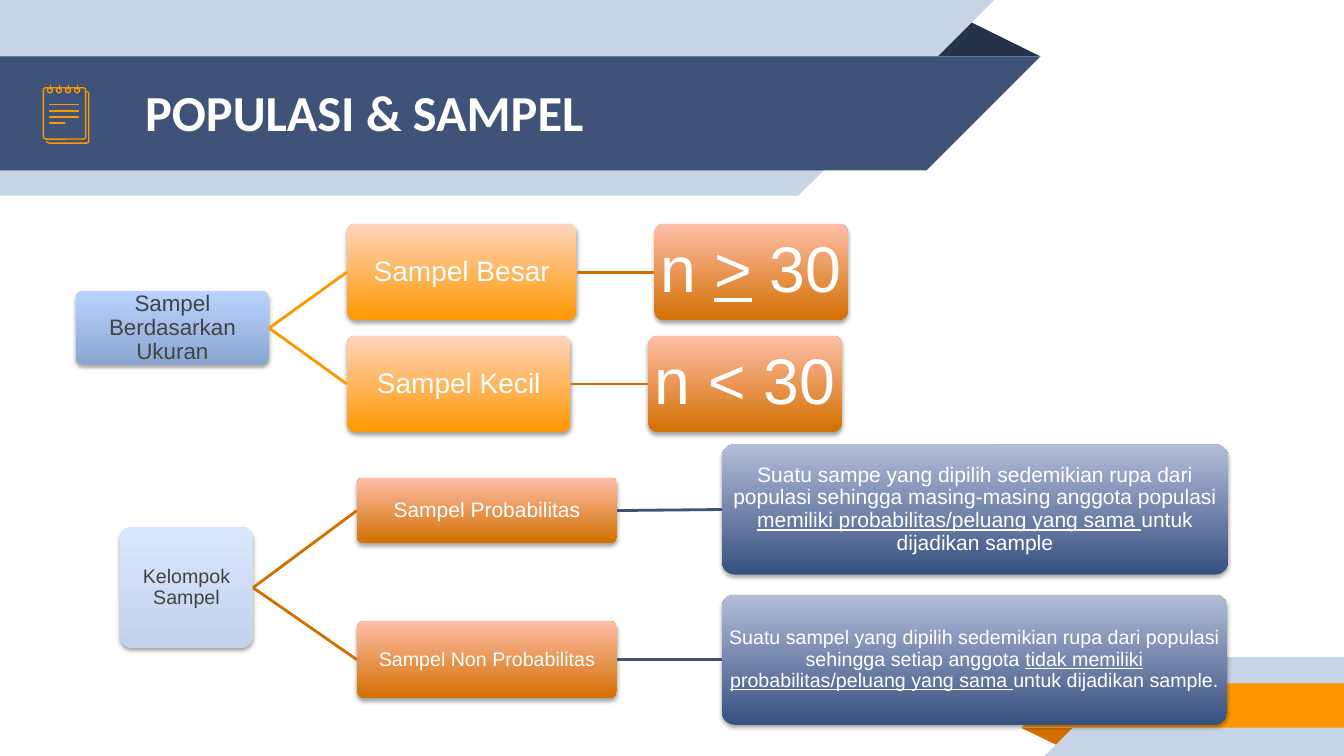
from dataclasses import dataclass

from lxml.etree import SubElement
from pptx import Presentation
from pptx.dml.color import RGBColor
from pptx.enum.shapes import MSO_CONNECTOR, MSO_SHAPE
from pptx.enum.text import MSO_ANCHOR, PP_ALIGN
from pptx.oxml.ns import qn
from pptx.shapes.autoshape import Shape
from pptx.shapes.connector import Connector
from pptx.slide import Slide
from pptx.util import Inches, Pt

WHITE = RGBColor(0xFF, 0xFF, 0xFF)
GRAY = RGBColor(0x43, 0x43, 0x43)
NAVY = RGBColor(0x3F, 0x53, 0x78)
DARK_NAVY = RGBColor(0x26, 0x32, 0x48)
PALE_BLUE = RGBColor(0xC7, 0xD3, 0xE6)
ORANGE = RGBColor(0xFF, 0x98, 0x00)
DARK_ORANGE = RGBColor(0xD2, 0x6F, 0x00)

# Gradients: bottom colour, top colour
Gradient = tuple[RGBColor, RGBColor]
BLUE_FADE = (RGBColor(0x8A, 0xA6, 0xD0), RGBColor(0xB9, 0xD3, 0xFE))
PALE_FADE = (RGBColor(0xC2, 0xD2, 0xEB), RGBColor(0xD9, 0xE7, 0xFF))
ORANGE_FADE = (ORANGE, RGBColor(0xFF, 0xD4, 0xBD))
RUST_FADE = (DARK_ORANGE, RGBColor(0xFF, 0xBE, 0xA8))
NAVY_FADE = (RGBColor(0x36, 0x50, 0x81), RGBColor(0xB3, 0xBD, 0xD8))

Point = tuple[float, float]


@dataclass(frozen=True)
class Polygon:
    color: RGBColor
    points: list[Point]


@dataclass(frozen=True)
class Node:
    name: str
    box: tuple[float, float, float, float]
    fade: Gradient
    size: int
    text: str  # underlined parts stand between | marks
    parent: str = ""
    link_color: RGBColor = ORANGE
    color: RGBColor = WHITE


BACKGROUND = [
    Polygon(DARK_NAVY, [(9.18, 0.56), (9.55, 0.18), (10.32, 0.56)]),
    Polygon(PALE_BLUE, [(0, 0), (9.86, 0), (7.92, 1.94), (0, 1.94)]),
    Polygon(NAVY, [(0, 0.56), (10.32, 0.56), (9.19, 1.69), (0, 1.69)]),
    Polygon(DARK_ORANGE, [(10.13, 7.22), (10.7, 7.22), (10.52, 7.41)]),
    Polygon(PALE_BLUE, [(11.34, 6.52), (13.33, 6.52), (13.33, 7.5), (10.36, 7.5)]),
    Polygon(ORANGE, [(10.57, 6.78), (13.33, 6.78), (13.33, 7.22), (10.13, 7.22)]),
]

NODES = [
    # Sample by size
    Node("size", (0.75, 2.89, 1.92, 0.73), BLUE_FADE, 16,
         "Sampel Berdasarkan Ukuran", color=GRAY),
    Node("large", (3.44, 2.22, 2.28, 0.96), ORANGE_FADE, 20, "Sampel Besar", "size"),
    Node("large n", (6.49, 2.22, 1.92, 0.96), RUST_FADE, 46, "n |>| 30",
         "large", DARK_ORANGE),
    Node("small", (3.44, 3.33, 2.22, 0.96), ORANGE_FADE, 20, "Sampel Kecil", "size"),
    Node("small n", (6.43, 3.33, 1.92, 0.96), RUST_FADE, 46, "n < 30",
         "small", DARK_ORANGE),
    # Sample groups
    Node("group", (1.19, 5.23, 1.32, 1.2), PALE_FADE, 14, "Kelompok Sampel", color=GRAY),
    Node("probability", (3.54, 4.74, 2.58, 0.65), RUST_FADE, 15,
         "Sampel Probabilitas", "group", DARK_ORANGE),
    Node("probability meaning", (7.16, 4.41, 5.02, 1.29), NAVY_FADE, 15,
         "Suatu sampe yang dipilih sedemikian rupa dari populasi sehingga "
         "masing-masing anggota populasi |memiliki probabilitas/peluang yang sama "
         "|untuk dijadikan sample", "probability", NAVY),
    Node("other", (3.54, 6.16, 2.58, 0.77), RUST_FADE, 14,
         "Sampel Non Probabilitas", "group", DARK_ORANGE),
    Node("other meaning", (7.16, 5.9, 5.01, 1.29), NAVY_FADE, 14,
         "Suatu sampel yang dipilih sedemikian rupa dari populasi sehingga setiap "
         "anggota |tidak memiliki probabilitas/peluang yang sama "
         "|untuk dijadikan sample.", "other", NAVY),
]


def write_text(shape: Shape, text: str, *, size: int, color: RGBColor, font: str = "Arial",
               bold: bool = False, align: PP_ALIGN = PP_ALIGN.CENTER,
               spacing: float = 0.9, inset: float = 0.01) -> None:
    frame = shape.text_frame
    frame.word_wrap = True
    frame.vertical_anchor = MSO_ANCHOR.MIDDLE
    frame.margin_left = frame.margin_right = Inches(inset)
    frame.margin_top = frame.margin_bottom = Inches(inset)
    paragraph = frame.paragraphs[0]
    paragraph.alignment = align
    paragraph.line_spacing = spacing
    for index, part in enumerate(text.split("|")):
        run = paragraph.add_run()
        run.text = part
        run.font.name = font
        run.font.size = Pt(size)
        run.font.bold = bold
        run.font.underline = index % 2 == 1
        run.font.color.rgb = color


def add_outline(slide: Slide, points: list[Point], closed: bool) -> Shape:
    corners = [(Inches(x), Inches(y)) for x, y in points]
    builder = slide.shapes.build_freeform(*corners[0])
    builder.add_line_segments(corners[1:], close=closed)
    shape = builder.convert_to_shape()
    shape.shadow.inherit = False
    return shape


def add_polygon(slide: Slide, polygon: Polygon) -> None:
    shape = add_outline(slide, polygon.points, True)
    shape.fill.solid()
    shape.fill.fore_color.rgb = polygon.color
    shape.line.fill.background()


def add_line(slide: Slide, start: Point, end: Point, color: RGBColor, width: float) -> Connector:
    connector = slide.shapes.add_connector(
        MSO_CONNECTOR.STRAIGHT, *(Inches(value) for value in start + end))
    connector.line.color.rgb = color
    connector.line.width = Pt(width)
    SubElement(connector.element.spPr, qn("a:effectLst"))
    return connector


def stroke_icon(shape: Shape) -> None:
    shape.shadow.inherit = False
    shape.fill.background()
    shape.line.color.rgb = ORANGE
    shape.line.width = Pt(0.96)


def add_notepad(slide: Slide) -> None:
    back_page = [(0.46, 1.4), (0.47, 1.41), (0.49, 1.42), (0.86, 1.42), (0.88, 1.41),
                 (0.88, 1.4), (0.88, 0.93), (0.88, 0.92), (0.86, 0.91)]
    stroke_icon(add_outline(slide, back_page, False))
    front_page = slide.shapes.add_shape(
        MSO_SHAPE.ROUNDED_RECTANGLE, Inches(0.43), Inches(0.87), Inches(0.42), Inches(0.51))
    front_page.adjustments[0] = 0.06
    stroke_icon(front_page)
    for row, right in enumerate((0.78, 0.78, 0.78, 0.64)):
        y = 1.04 + 0.06 * row
        add_line(slide, (0.49, y), (right, y), ORANGE, 0.96)
    for ring_index in range(4):
        x = 0.5 + 0.09 * ring_index
        ring = slide.shapes.add_shape(
            MSO_SHAPE.OVAL, Inches(x - 0.03), Inches(0.87), Inches(0.05), Inches(0.05))
        stroke_icon(ring)
        add_line(slide, (x, 0.84), (x, 0.89), ORANGE, 0.96)


def add_node(slide: Slide, node: Node) -> Shape:
    shape = slide.shapes.add_shape(
        MSO_SHAPE.ROUNDED_RECTANGLE, *(Inches(value) for value in node.box))
    shape.adjustments[0] = 0.1
    shape.fill.gradient()
    shape.fill.gradient_angle = 90
    for stop, color in zip(shape.fill.gradient_stops, node.fade):
        stop.color.rgb = color
    shape.line.fill.background()
    # Soft shadow below the box
    shape.shadow.inherit = False
    effects = shape.element.spPr.find(qn("a:effectLst"))
    shadow = SubElement(effects, qn("a:outerShdw"), blurRad=str(Pt(3.1)),
                        dist=str(Pt(1.8)), dir="5400000", rotWithShape="0")
    shadow_color = SubElement(shadow, qn("a:srgbClr"), val="000000")
    SubElement(shadow_color, qn("a:alpha"), val="35000")
    write_text(shape, node.text, size=node.size, color=node.color)
    return shape


def add_tree(slide: Slide, nodes: list[Node]) -> None:
    shapes: dict[str, Shape] = {}
    for node in nodes:
        shapes[node.name] = add_node(slide, node)
        if node.parent:
            connector = add_line(slide, (0, 0), (1, 1), node.link_color, 2)
            connector.begin_connect(shapes[node.parent], 3)
            connector.end_connect(shapes[node.name], 1)


def main() -> None:
    presentation = Presentation()
    presentation.slide_width = Inches(13.33)
    presentation.slide_height = Inches(7.5)
    slide = presentation.slides.add_slide(presentation.slide_layouts[6])

    # Banner and corner
    for polygon in BACKGROUND:
        add_polygon(slide, polygon)
    add_notepad(slide)

    # Diagrams
    add_tree(slide, NODES)

    # Title
    title = slide.shapes.add_textbox(Inches(1.31), Inches(0.54), Inches(7.67), Inches(1.12))
    write_text(title, "POPULASI & SAMPEL", size=36, color=WHITE, font="Calibri", bold=True,
               align=PP_ALIGN.LEFT, spacing=1.0, inset=0.13)

    presentation.save("out.pptx")


if __name__ == "__main__":
    main()
